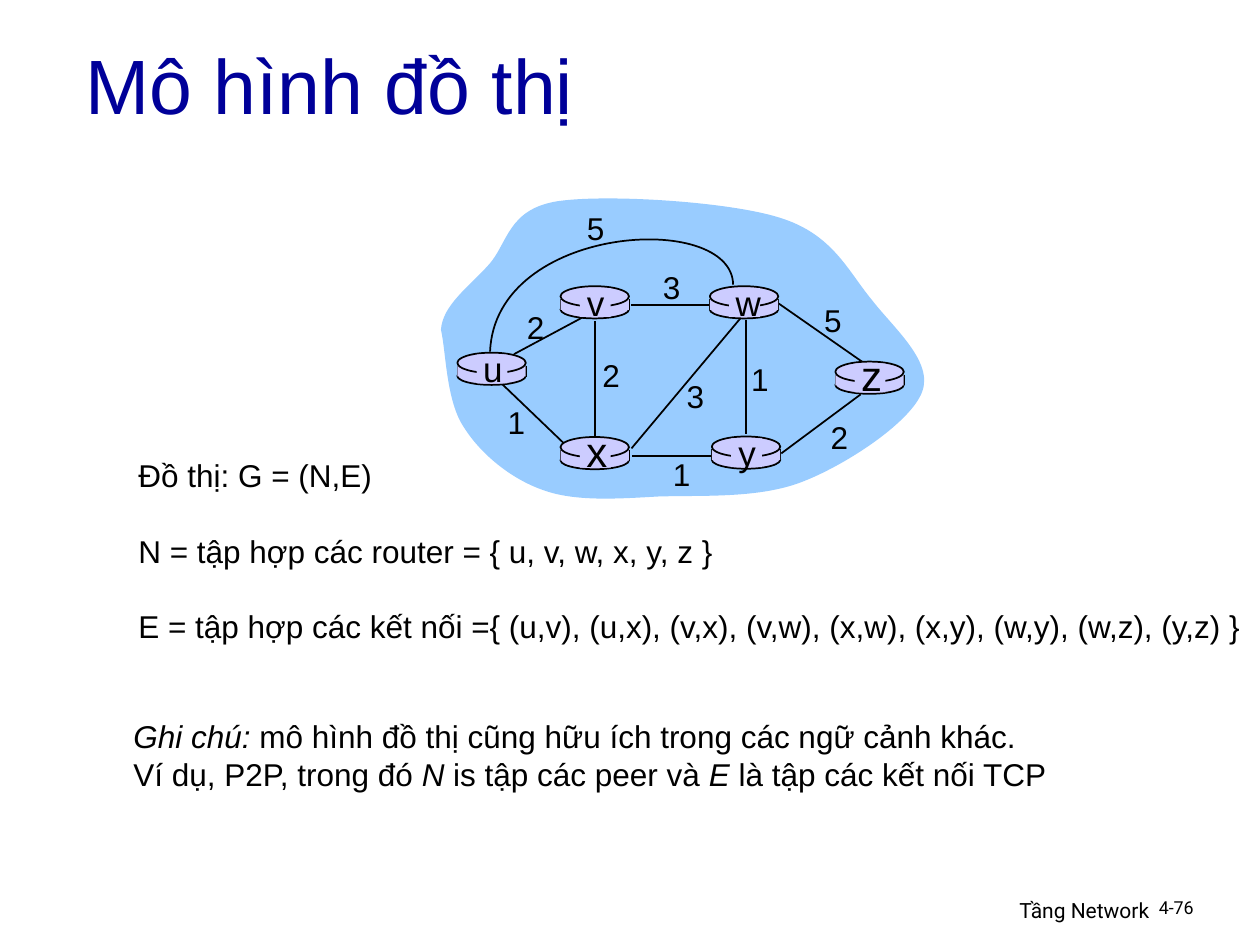
from lxml.etree import SubElement
from pptx import Presentation
from pptx.dml.color import RGBColor
from pptx.enum.shapes import MSO_CONNECTOR, MSO_SHAPE
from pptx.enum.text import MSO_ANCHOR, PP_ALIGN
from pptx.oxml.ns import qn
from pptx.util import Cm, Pt

BLACK, NAVY, LILAC, SKY = "000000", "000099", "CCCCFF", "99CCFF"

# All positions are in centimetres
ROUTER_WIDTH = 1.38
ROUTERS = [  # name, left, top, letter size
    ("u", 9.22, 7.11, 20), ("x", 11.3, 8.81, 24), ("v", 11.3, 5.77, 20),
    ("w", 14.31, 5.77, 20), ("y", 14.35, 8.8, 20), ("z", 16.84, 7.29, 24),
]
LINKS = [  # start x, start y, end x, end y
    (10.36, 7.14, 11.89, 6.32), (15.04, 6.45, 15.04, 8.74),
    (11.99, 6.48, 11.99, 8.84), (12.73, 9.04, 14.94, 6.4),
    (15.75, 9.14, 17.35, 7.95), (14.35, 9.19, 12.75, 9.19),
    (11.35, 8.92, 10.13, 7.75), (14.33, 6.15, 12.73, 6.15),
    (17.42, 7.32, 15.7, 6.12),
]
COSTS = [  # cost, centre x, centre y
    ("2", 10.8, 6.6), ("2", 12.32, 7.57), ("1", 10.41, 8.51),
    ("3", 14.02, 7.98), ("1", 13.74, 9.55), ("1", 15.32, 7.65),
    ("2", 16.92, 8.81), ("5", 16.79, 6.45), ("3", 13.54, 5.79),
    ("5", 12.01, 4.6),
]
# Bezier outlines: a start point, then two handles and an end point per curve
CLOUD = [
    (8.89, 6.65), (8.92, 6.15), (9.47, 5.77), (9.86, 5.33),
    (10.24, 4.9), (10.24, 4.22), (11.23, 4.06),
    (12.19, 3.91), (14.68, 4.06), (15.72, 4.39),
    (16.79, 4.72), (17.09, 5.46), (17.58, 6.05),
    (18.03, 6.63), (18.82, 7.29), (18.59, 7.9),
    (18.36, 8.51), (17.09, 9.35), (16.21, 9.7),
    (15.32, 10.06), (14.15, 9.98), (13.26, 10.01),
    (12.4, 10.06), (11.58, 10.11), (10.95, 9.88),
    (10.29, 9.65), (9.68, 9.14), (9.35, 8.61),
    (8.99, 8.08), (8.99, 7.06), (8.89, 6.65),
]
LONG_LINK = [(14.78, 5.74), (14.76, 4.24), (9.98, 4.52), (9.88, 7.09)]

SETS = [
    [("Đồ thị: G = (N,E)", False)],
    [("N = tập hợp các router = { u, v, w, x, y, z }", False)],
    [("E = tập hợp các kết nối ={ (u,v), (u,x), (v,x), (v,w), (x,w), "
      "(x,y), (w,y), (w,z), (y,z) }", False)],
]
NOTE = [
    [("Ghi chú:", True),
     (" mô hình đồ thị cũng hữu ích trong các ngữ cảnh khác.", False)],
    [("Ví dụ, P2P, trong đó ", False), ("N", True),
     (" is tập các peer và ", False), ("E", True),
     (" là tập các kết nối TCP", False)],
]


def color(value):
    return RGBColor.from_string(value)


def set_font(paragraph, size, name="Arial", value=BLACK):
    paragraph.font.size = Pt(size)
    paragraph.font.name = name
    paragraph.font.color.rgb = color(value)


def paint(shape, fill=None, line=None):
    shape.shadow.inherit = False
    if fill:
        shape.fill.solid()
        shape.fill.fore_color.rgb = color(fill)
    else:
        shape.fill.background()
    if line:
        shape.line.color.rgb = color(line)
        shape.line.width = Pt(1)
    else:
        shape.line.fill.background()


def add_text(page, place, paragraphs, size=18, name="Arial", gap=0,
             align=PP_ALIGN.LEFT, wrap=False):
    box = page.shapes.add_textbox(*map(Cm, place))
    frame = box.text_frame
    frame.word_wrap = wrap
    for index, spans in enumerate(paragraphs):
        paragraph = frame.add_paragraph() if index else frame.paragraphs[0]
        paragraph.alignment = align
        if index and gap:
            paragraph.space_before = Pt(gap)
        set_font(paragraph, size, name)
        for text, italic in spans:
            span = paragraph.add_run()
            span.text = text
            if italic:
                span.font.italic = True


def add_label(page, text, center_x, center_y, size=18):
    width, height = 0.88, 0.26 + 0.042 * size
    place = (center_x - width / 2, center_y - height / 2, width, height)
    add_text(page, place, [[(text, False)]], size, align=PP_ALIGN.CENTER)


def add_line(page, *ends):
    line = page.shapes.add_connector(MSO_CONNECTOR.STRAIGHT, *map(Cm, ends))
    line.line.color.rgb = color(BLACK)
    line.line.width = Pt(1)
    SubElement(line.element.spPr, qn("a:effectLst"))


def add_curve(page, points, closed=False, **paints):
    start, *rest = [(Cm(x), Cm(y)) for x, y in points]
    builder = page.shapes.build_freeform(*start)
    builder.add_line_segments(rest, close=closed)
    shape = builder.convert_to_shape()
    # Turn each three straight steps into one Bezier curve
    steps = list(shape.element.iter(qn("a:lnTo")))[:len(rest)]
    for first in range(0, len(steps), 3):
        curve = steps[first].makeelement(qn("a:cubicBezTo"), {})
        steps[first].addprevious(curve)
        for step in steps[first:first + 3]:
            curve.append(step[0])
            step.getparent().remove(step)
    paint(shape, **paints)


def add_router(page, name, left, top, size):
    def part(kind, x, y, width, height, line=None):
        shape = page.shapes.add_shape(
            kind, Cm(left + x), Cm(top + y), Cm(width), Cm(height))
        paint(shape, LILAC, line)

    part(MSO_SHAPE.OVAL, 0, 0.29, ROUTER_WIDTH, 0.36, BLACK)
    for side in (left, left + ROUTER_WIDTH):
        add_line(page, side, top + 0.26, side, top + 0.48)
    part(MSO_SHAPE.RECTANGLE, 0, 0.26, ROUTER_WIDTH, 0.22)
    part(MSO_SHAPE.OVAL, 0, 0, ROUTER_WIDTH, 0.41, BLACK)
    part(MSO_SHAPE.RECTANGLE, 0.39, 0.04, 0.62, 0.58)
    add_label(page, name, left + 0.71, top + (0.33 if size == 20 else 0.27), size)


def add_title(page, text):
    title = page.shapes.title
    title.left, title.top, title.width, title.height = map(
        Cm, (1.47, 0.58, 21.59, 2.21))
    title.text_frame.text = text
    title.text_frame.vertical_anchor = MSO_ANCHOR.MIDDLE
    paragraph = title.text_frame.paragraphs[0]
    paragraph.alignment = PP_ALIGN.LEFT
    set_font(paragraph, 44, value=NAVY)


def main():
    deck = Presentation()
    deck.slide_width, deck.slide_height = Cm(25.4), Cm(19.05)
    page = deck.slides.add_slide(deck.slide_layouts[5])
    add_title(page, "Mô hình đồ thị")

    # Network graph
    add_curve(page, CLOUD, closed=True, fill=SKY)
    add_curve(page, LONG_LINK, line=BLACK)
    for link in LINKS:
        add_line(page, *link)
    for router in ROUTERS:
        add_router(page, *router)
    for cost in COSTS:
        add_label(page, *cost)

    # Definitions and note
    add_text(page, (2.54, 9.07, 22.94, 4.06), SETS, gap=21.6)
    add_text(page, (2.44, 14.33, 20.6, 1.78), NOTE)

    # Footer
    add_text(page, (15.37, 17.96, 8.05, 0.79), [[("Tầng Network", False)]],
             12, "Roboto", align=PP_ALIGN.RIGHT, wrap=True)
    add_text(page, (23.11, 17.96, 1.88, 0.76), [[("4-76", False)]],
             10.2, "Roboto", wrap=True)

    deck.save("out.pptx")


if __name__ == "__main__":
    main()
